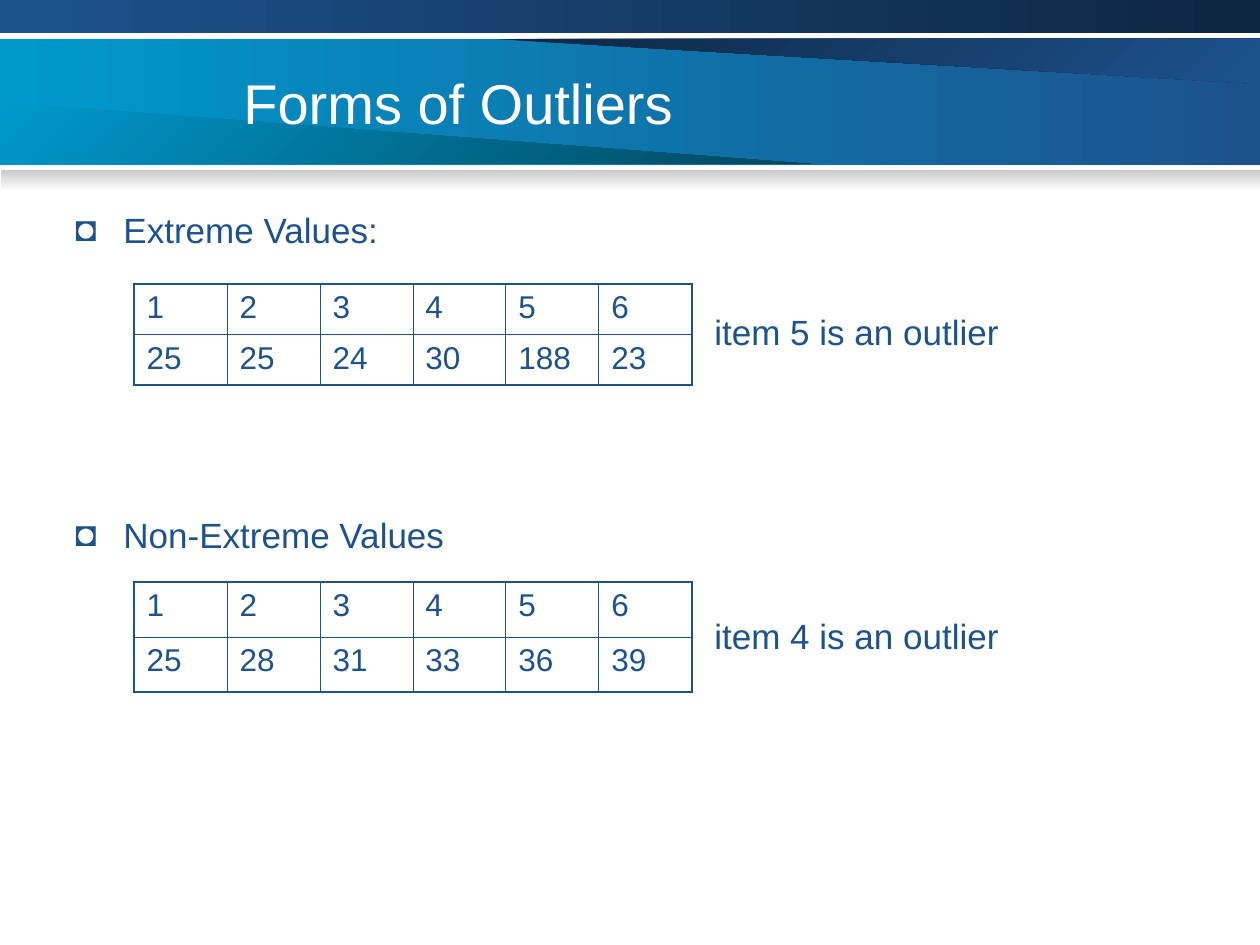
from dataclasses import dataclass

from lxml import etree
from pptx import Presentation
from pptx.dml.color import RGBColor
from pptx.enum import shapes, text
from pptx.oxml import ns
from pptx.util import Inches, Pt

PX = Inches(1) / 126


@dataclass(frozen=True)
class Theme:
    font: str = "Arial"
    white: str = "FFFFFF"
    blue: str = "1D528D"
    navy: str = "0D2641"
    cyan: str = "0099CC"
    teal: str = "00475E"
    grey: str = "CACACA"
    title_size: int = 32
    body_size: int = 20
    cell_size: int = 18
    outer_line: float = 1.08
    inner_line: float = 0.45


THEME = Theme()


def px(length):
    return round(length * PX)


def add_child(parent, tag, **attributes):
    return etree.SubElement(parent, ns.qn(tag), attributes)


def fill_gradient(shape, start, end, angle):
    shape.shadow.inherit = False
    shape.line.fill.background()
    shape.fill.gradient()
    shape.fill.gradient_angle = angle
    for stop, color in zip(shape.fill.gradient_stops, (start, end)):
        stop.color.rgb = RGBColor.from_string(color)


def add_band(slide, left, top, width, height, start, end, angle=0):
    shape = slide.shapes.add_shape(
        shapes.MSO_SHAPE.RECTANGLE, px(left), px(top), px(width), px(height))
    fill_gradient(shape, start, end, angle)


def add_wedge(slide, points, start, end):
    builder = slide.shapes.build_freeform(*points[0], scale=PX)
    builder.add_line_segments(points[1:], close=True)
    fill_gradient(builder.convert_to_shape(), start, end, 315)


def set_font(paragraph, size, color):
    font = paragraph.font
    font.name = THEME.font
    font.size = Pt(size)
    font.color.rgb = RGBColor.from_string(color)


def add_bullet(paragraph, indent):
    properties = paragraph._p.get_or_add_pPr()
    properties.set("marL", str(px(indent)))
    properties.set("indent", str(-px(indent)))
    bullet_color = add_child(properties, "a:buClr")
    add_child(bullet_color, "a:srgbClr", val=THEME.blue)
    add_child(properties, "a:buFont", typeface=THEME.font)
    add_child(properties, "a:buChar", char="◘")


def add_text(slide, left, top, width, height, content, size, color, bulleted=False):
    box = slide.shapes.add_textbox(px(left), px(top), px(width), px(height))
    frame = box.text_frame
    frame.word_wrap = True
    frame.vertical_anchor = text.MSO_ANCHOR.MIDDLE
    paragraph = frame.paragraphs[0]
    paragraph.text = content
    if bulleted:
        add_bullet(paragraph, 48)
    set_font(paragraph, size, color)


def set_borders(cell, outer_sides):
    properties = cell._tc.get_or_add_tcPr()
    for side in ("L", "R", "T", "B"):
        width = THEME.outer_line if side in outer_sides else THEME.inner_line
        line = add_child(properties, f"a:ln{side}", w=str(Pt(width)))
        add_child(add_child(line, "a:solidFill"), "a:srgbClr", val=THEME.blue)


def add_value_table(slide, left, top, column_width, row_height, rows):
    row_count, column_count = len(rows), len(rows[0])
    table = slide.shapes.add_table(
        row_count, column_count, px(left), px(top),
        px(column_width * column_count), px(row_height * row_count)).table
    table.first_row = False
    table.horz_banding = False
    for row_index, row in enumerate(rows):
        for column_index, value in enumerate(row):
            cell = table.cell(row_index, column_index)
            edges = {
                "L": column_index == 0,
                "R": column_index == column_count - 1,
                "T": row_index == 0,
                "B": row_index == row_count - 1,
            }
            set_borders(cell, [side for side, outer in edges.items() if outer])
            cell.fill.background()
            cell.text = str(value)
            set_font(cell.text_frame.paragraphs[0], THEME.cell_size, THEME.blue)


def add_header(slide):
    add_band(slide, 0, 39, 1261, 126, THEME.cyan, THEME.blue)
    add_wedge(slide, [(495, 39), (1260, 84), (1260, 39)], THEME.navy, THEME.blue)
    add_wedge(slide, [(0, 102), (810, 164), (0, 164)], THEME.cyan, THEME.teal)
    add_band(slide, 0, 0, 1260, 33, THEME.blue, THEME.navy)
    add_band(slide, 1, 170, 1259, 21, THEME.grey, THEME.white, 270)
    add_text(slide, 231, 42, 914, 120, "Forms of Outliers", THEME.title_size, THEME.white)


def add_example(slide, top, heading, remark, table_top, row_height, values):
    add_text(slide, 63, top, 600, 48, heading, THEME.body_size, THEME.blue, bulleted=True)
    add_text(slide, 702, top + 102, 500, 48, remark, THEME.body_size, THEME.blue)
    items = range(1, len(values) + 1)
    add_value_table(slide, 134, table_top, 93, row_height, [items, values])


def main():
    presentation = Presentation()
    presentation.slide_width = Inches(10)
    presentation.slide_height = Inches(7.5)
    slide = presentation.slides.add_slide(presentation.slide_layouts[6])
    add_header(slide)
    add_example(slide, 205, "Extreme Values:", "item 5 is an outlier",
                284, 50, [25, 25, 24, 30, 188, 23])
    add_example(slide, 510, "Non-Extreme Values", "item 4 is an outlier",
                582, 55, [25, 28, 31, 33, 36, 39])
    presentation.save("out.pptx")


if __name__ == "__main__":
    main()
